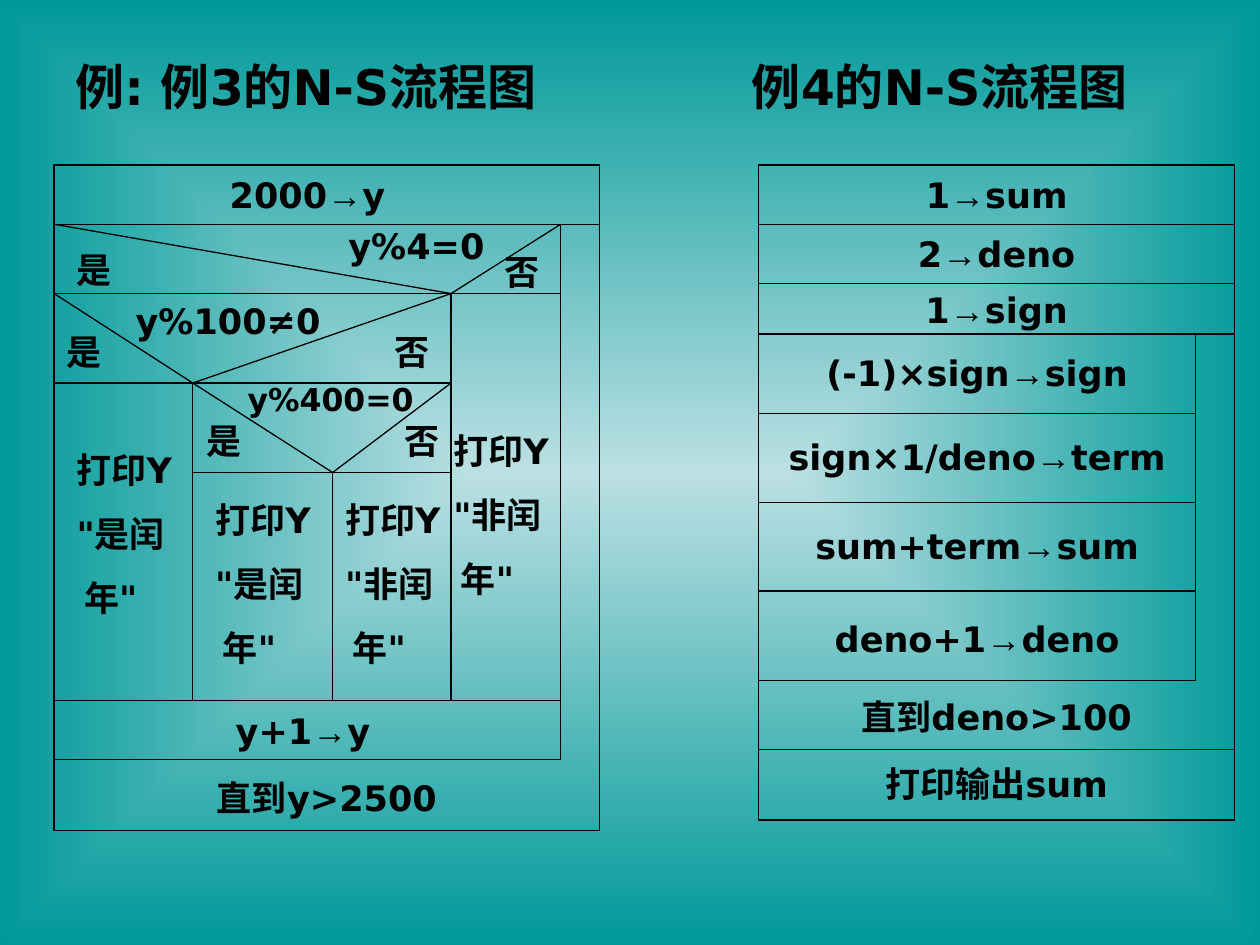
from lxml import etree
from pptx import Presentation
from pptx import util as u
from pptx.dml.color import RGBColor
from pptx.enum import shapes, text
from pptx.oxml.ns import qn

BLACK = "000000"
FONT, ARROW_FONT = "DejaVu Sans", "Arial"
ARROW = "→"
ROW_HEIGHT = 0.44
LEFT, CENTER = text.PP_ALIGN.LEFT, text.PP_ALIGN.CENTER


def color(value):
    return RGBColor.from_string(value)


def set_background(slide, center, edge):
    fill = slide.background.fill
    fill.gradient()
    for stop, value, position in zip(fill.gradient_stops, (center, edge),
                                     (0, 1)):
        stop.color.rgb = color(value)
        stop.position = position
    # Turn the linear gradient into a rectangular one
    gradient = slide._element.find(".//" + qn("a:gradFill"))
    gradient.remove(gradient.find(qn("a:lin")))
    path = etree.SubElement(gradient, qn("a:path"), {"path": "rect"})
    sides = dict.fromkeys("ltrb", "50000")
    etree.SubElement(path, qn("a:fillToRect"), sides)


def add_run(paragraph, content, size, name):
    run = paragraph.add_run()
    run.text = content
    formats = {"size": u.Pt(size), "name": name, "bold": True}
    for key, value in formats.items():
        setattr(run.font, key, value)
    run.font.color.rgb = color(BLACK)


def add_text(slide, box, lines, size=20, align=CENTER, inset=0.1, wrap=True,
             anchor=text.MSO_ANCHOR.TOP):
    shape = slide.shapes.add_textbox(*map(u.Inches, box))
    frame = shape.text_frame
    formats = {"word_wrap": wrap, "vertical_anchor": anchor,
               "margin_left": u.Inches(inset),
               "margin_right": u.Inches(inset)}
    for key, value in formats.items():
        setattr(frame, key, value)
    for index, line in enumerate(lines):
        paragraph = frame.add_paragraph() if index else frame.paragraphs[0]
        paragraph.alignment = align
        if index:
            paragraph.space_before = u.Pt(12.5)
        # Arrows have a font of their own
        for part_index, part in enumerate(line.split(ARROW)):
            if part_index:
                add_run(paragraph, ARROW, size, ARROW_FONT)
            add_run(paragraph, part, size, FONT)
    return frame


def add_title(slide, first, second):
    frame = add_text(slide, (0.5, 0.3, 9, 0.77), [f"{first}\t{second}"],
                     size=28, align=LEFT, anchor=text.MSO_ANCHOR.MIDDLE)
    properties = frame.paragraphs[0]._p.get_or_add_pPr()
    tabs = etree.SubElement(properties, qn("a:tabLst"))
    etree.SubElement(tabs, qn("a:tab"),
                     {"pos": str(u.Inches(5.37)), "algn": "l"})


def add_result(slide, left, top, verdict):
    # The right inset is dropped so that each line fits its narrow column
    frame = add_text(slide, (left, top, 1.1, 1.45),
                     ["打印Y", f'"{verdict}闰', '年"'], align=LEFT)
    frame.margin_right = 0
    frame.paragraphs[2]._p.get_or_add_pPr().set("marL", str(u.Inches(0.06)))


def add_label(slide, left, top, content):
    add_text(slide, (left, top, 0.48, ROW_HEIGHT), [content], wrap=False)


def add_frame(slide, left, top, right, bottom):
    box = (left, top, right - left, bottom - top)
    shape = slide.shapes.add_shape(shapes.MSO_SHAPE.RECTANGLE,
                                   *map(u.Inches, box))
    shape.shadow.inherit = False
    shape.fill.background()
    shape.line.color.rgb = color(BLACK)
    shape.line.width = u.Pt(0.75)


def add_line(slide, *ends):
    line = slide.shapes.add_connector(shapes.MSO_CONNECTOR.STRAIGHT,
                                      *map(u.Inches, ends))
    line.line.color.rgb = color(BLACK)
    line.line.width = u.Pt(0.75)
    etree.SubElement(line._element.spPr, qn("a:effectLst"))


def add_condition(slide, left, split, right, top, bottom):
    """Draw the two slopes of a branch and the line below them."""
    add_line(slide, left, top, split, bottom)
    add_line(slide, split, bottom, right, top)
    add_line(slide, left, bottom, right, bottom)


def draw_leap_year(slide):
    left, right, top, bottom = 0.43, 4.76, 1.31, 6.59
    loop_top, loop_right, loop_bottom = 1.78, 4.45, 6.03
    level_4, level_100, level_400, branch_end = 2.33, 3.04, 3.75, 5.56
    split_4, split_100, split_400 = 3.58, 1.53, 2.64

    # Outer frame and loop body
    add_frame(slide, left, top, right, bottom)
    add_line(slide, left, loop_top, right, loop_top)
    add_line(slide, loop_right, loop_top, loop_right, loop_bottom)
    add_line(slide, loop_right, loop_bottom, left, loop_bottom)
    add_line(slide, left, branch_end, loop_right, branch_end)

    # Nested branches
    add_condition(slide, left, split_4, loop_right, loop_top, level_4)
    add_condition(slide, left, split_100, split_4, level_4, level_100)
    add_condition(slide, split_100, split_400, split_4, level_100, level_400)
    for split, level in ((split_4, level_4), (split_100, level_100),
                         (split_400, level_400)):
        add_line(slide, split, level, split, branch_end)

    # Steps and conditions
    for x, y, width, content, size in (
            (left, 1.33, 4.02, "2000→y", 20),
            (2.54, 1.73, 1.53, "y%4=0", 20),
            (0.87, 2.33, 1.88, "y%100≠0", 20),
            (1.51, 2.97, 2.23, "y%400=0", 18),
            (0.83, 5.58, 3.15, "y+1→y", 20),
            (1.06, 6.11, 3.07, "直到y>2500", 20)):
        add_text(slide, (x, y, width, ROW_HEIGHT), [content], size)

    # Yes and no labels
    for yes_x, yes_y, no_x, no_y in ((0.51, 1.92, 3.9, 1.94),
                                     (0.43, 2.57, 3.03, 2.57),
                                     (1.54, 3.28, 3.11, 3.28)):
        add_label(slide, yes_x, yes_y, "是")
        add_label(slide, no_x, no_y, "否")

    # Printed results
    for x, y, verdict in ((0.51, 3.51, "是"), (1.61, 3.91, "是"),
                          (2.64, 3.91, "非"), (3.5, 3.36, "非")):
        add_result(slide, x, y, verdict)


def draw_series_sum(slide):
    left, right, top, bottom = 6.02, 9.8, 1.31, 6.51
    loop_top, loop_right, loop_bottom = 2.65, 9.49, 5.4

    # Outer frame and row lines
    add_frame(slide, left, top, right, bottom)
    for y in (1.78, 2.25, loop_top, 5.95):
        add_line(slide, left, y, right, y)
    for y in (3.28, 3.99, 4.69, loop_bottom):
        add_line(slide, left, y, loop_right, y)
    add_line(slide, loop_right, loop_top, loop_right, loop_bottom)

    # Full-width steps
    for y, content in ((1.33, "1→sum"), (1.8, "2→deno"), (2.24, "1→sign"),
                       (5.47, "直到deno>100"), (6, "打印输出sum")):
        add_text(slide, (left, y, right - left, ROW_HEIGHT), [content])

    # Steps in the loop
    for y, content in ((2.74, "(-1)×sign→sign"),
                       (3.41, "sign×1/deno→term"),
                       (4.11, "sum+term→sum"), (4.85, "deno+1→deno")):
        add_text(slide, (left, y, loop_right - left, ROW_HEIGHT), [content],
                 inset=0.02)


def main():
    presentation = Presentation()
    presentation.slide_width = u.Inches(10)
    presentation.slide_height = u.Inches(7.5)
    slide = presentation.slides.add_slide(presentation.slide_layouts[6])
    set_background(slide, "BBE0E3", "009999")
    add_title(slide, "例: 例3的N-S流程图", "例4的N-S流程图")
    draw_leap_year(slide)
    draw_series_sum(slide)
    presentation.save("out.pptx")


if __name__ == "__main__":
    main()
